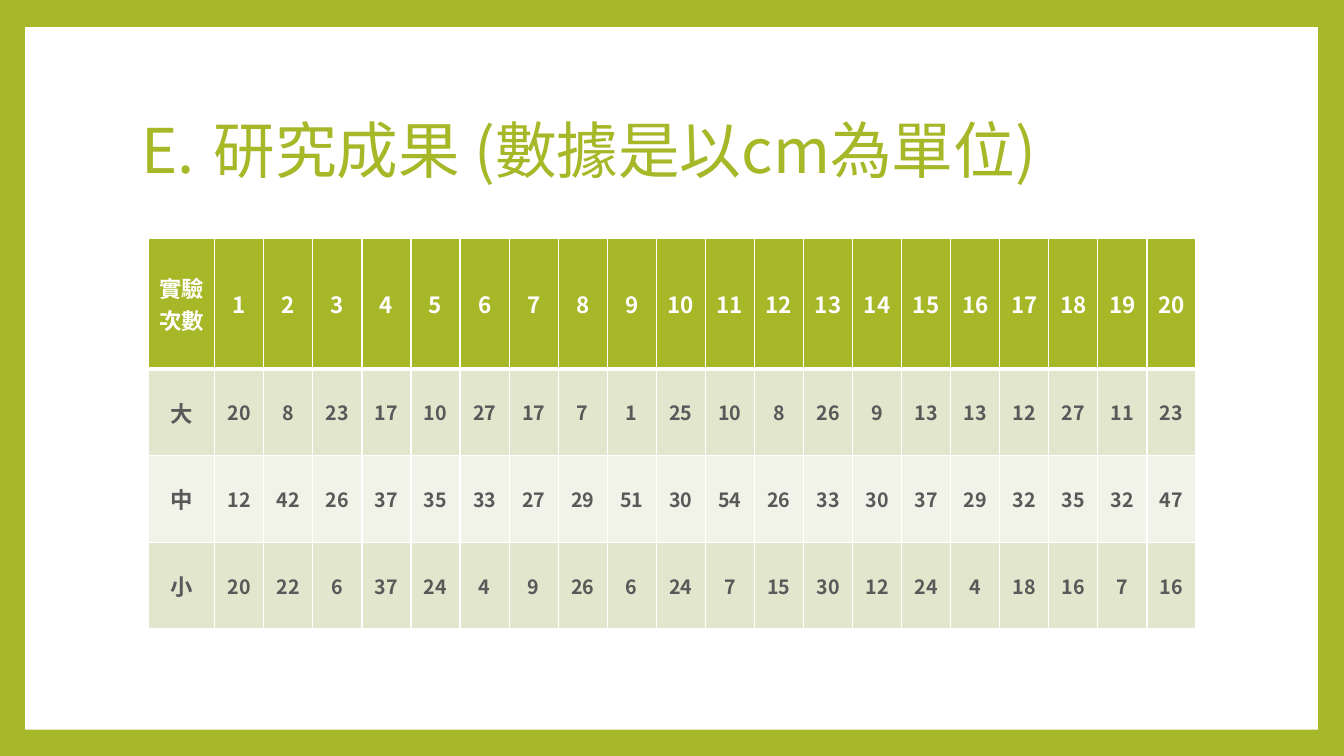
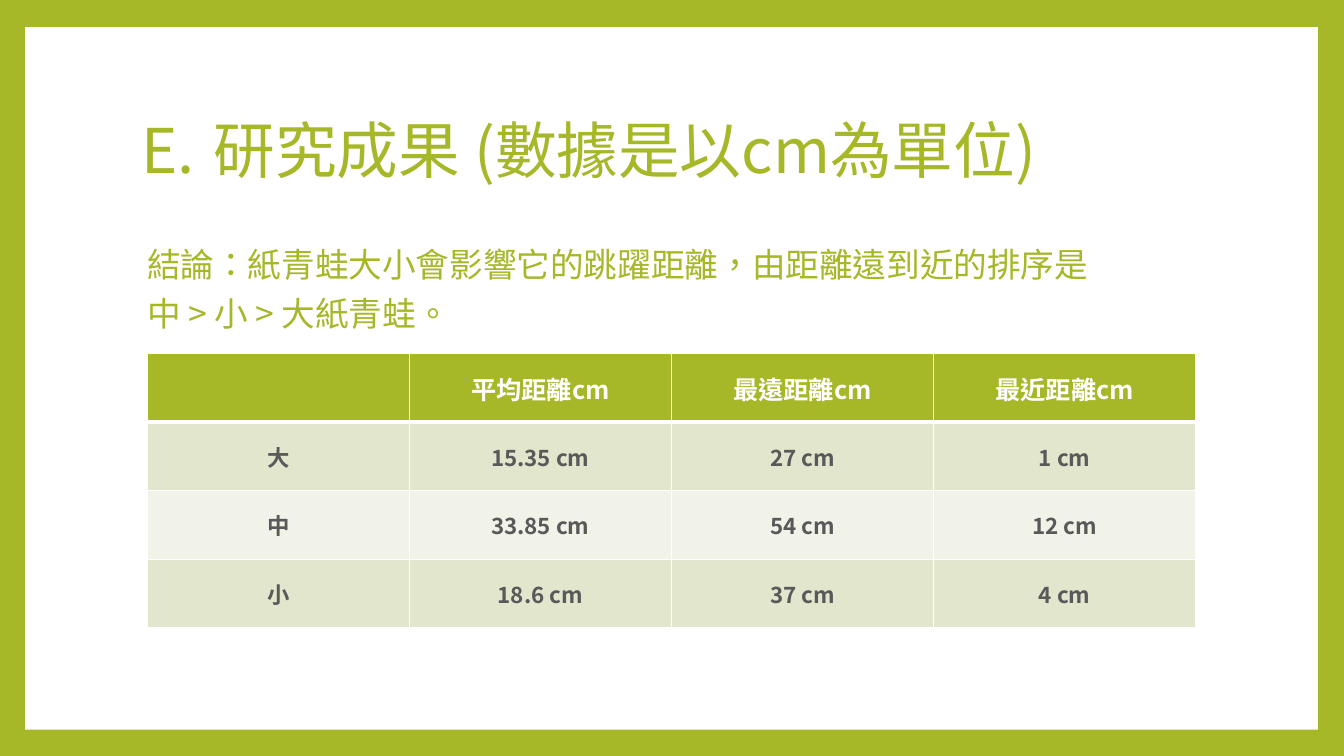
from dataclasses import dataclass

from lxml import etree
from pptx import Presentation
from pptx.dml.color import RGBColor
from pptx.enum.lang import MSO_LANGUAGE_ID
from pptx.enum.shapes import MSO_SHAPE
from pptx.enum.text import MSO_ANCHOR, MSO_AUTO_SIZE, PP_ALIGN
from pptx.oxml.ns import qn
from pptx.util import Inches, Pt

LEFT = PP_ALIGN.LEFT
CENTER = PP_ALIGN.CENTER
MIDDLE = MSO_ANCHOR.MIDDLE
NO_AUTOFIT = MSO_AUTO_SIZE.NONE
RECTANGLE = MSO_SHAPE.RECTANGLE
TAIWAN_CHINESE = MSO_LANGUAGE_ID.TRADITIONAL_CHINESE


@dataclass(frozen=True)
class Theme:
    font: str = "Noto Sans CJK SC"
    green: str = "A6B727"
    white: str = "FFFFFF"
    gray: str = "595959"
    dark_band: str = "E1E6CD"
    light_band: str = "F1F3E8"
    title_size: int = 44
    body_size: int = 24
    heading_size: int = 18
    label_size: int = 16
    number_size: int = 14
    rule: int = 1
    heading_rule: int = 3


theme = Theme()


def write(frame, text, size, color, bold=False, align=LEFT, spacing=None, tab=None):
    para = frame.paragraphs[0]
    para.alignment = align
    para.line_spacing = spacing
    if tab is not None:
        tabs = etree.SubElement(para._p.get_or_add_pPr(), qn("a:tabLst"))
        etree.SubElement(tabs, qn("a:tab"), pos=str(tab), algn="l")
    span = para.add_run()
    span.text = text
    span.font.name = theme.font
    span.font.size = Pt(size)
    span.font.bold = bold
    span.font.color.rgb = RGBColor.from_string(color)
    span.font.language_id = TAIWAN_CHINESE
    etree.SubElement(span._r.rPr, qn("a:ea"), typeface=theme.font)


def add_data_table(page, rows, left, top, widths, heights, heading_size, number_size):
    table = page.shapes.add_table(
        len(rows), len(widths), left, top, sum(widths), sum(heights)
    ).table
    for column, width in zip(table.columns, widths):
        column.width = width
    for row_index, values in enumerate(rows):
        table.rows[row_index].height = heights[row_index]
        heading = row_index == 0
        band = theme.dark_band if row_index % 2 else theme.light_band
        for column_index, value in enumerate(values):
            cell = table.cell(row_index, column_index)
            cell.vertical_anchor = MIDDLE
            for side in ("lnL", "lnR", "lnT", "lnB"):
                heavy = (row_index, side) in ((0, "lnB"), (1, "lnT"))
                weight = theme.heading_rule if heavy else theme.rule
                line = etree.SubElement(
                    cell._tc.get_or_add_tcPr(), qn(f"a:{side}"), w=str(Pt(weight))
                )
                fill = etree.SubElement(line, qn("a:solidFill"))
                etree.SubElement(fill, qn("a:srgbClr"), val=theme.white)
            cell.fill.solid()
            cell.fill.fore_color.rgb = RGBColor.from_string(theme.green if heading else band)
            if not value:
                continue
            body_size = number_size if column_index else theme.label_size
            write(
                cell.text_frame,
                str(value),
                size=heading_size if heading else body_size,
                color=theme.white if heading else theme.gray,
                bold=True,
                align=CENTER,
            )


deck = Presentation()
deck.slide_width = Inches(13.33)
deck.slide_height = Inches(7.5)
background = deck.slide_master.background.fill
background.solid()
background.fore_color.rgb = RGBColor.from_string(theme.green)

layout = deck.slide_layouts[5]
layout_title = layout.placeholders[0]
layout_title.left, layout_title.top = Inches(1.3), Inches(0.78)
layout_title.width, layout_title.height = Inches(10.53), Inches(1.48)
layout_title.text_frame.vertical_anchor = MIDDLE
layout_title.text_frame.auto_size = NO_AUTOFIT

pages = [deck.slides.add_slide(layout) for _ in range(2)]
results_page, summary_page = pages

panel = results_page.shapes.add_shape(
    RECTANGLE, Inches(0.25), Inches(0.27), Inches(12.82), Inches(6.97)
)
panel.shadow.inherit = False
panel.fill.solid()
panel.fill.fore_color.rgb = RGBColor.from_string(theme.white)
panel.line.fill.background()
layout.shapes.element.insert(2, panel.element)

for page in pages:
    write(
        page.shapes.title.text_frame,
        "E.\t研究成果 (數據是以cm為單位)",
        size=theme.title_size,
        color=theme.green,
        spacing=0.9,
        tab=Inches(0.72),
    )

jumps = [
    ["實驗次數", *range(1, 21)],
    ["大", 20, 8, 23, 17, 10, 27, 17, 7, 1, 25, 10, 8, 26, 9, 13, 13, 12, 27, 11, 23],
    ["中", 12, 42, 26, 37, 35, 33, 27, 29, 51, 30, 54, 26, 33, 30, 37, 29, 32, 35, 32, 47],
    ["小", 20, 22, 6, 37, 24, 4, 9, 26, 6, 24, 7, 15, 30, 12, 24, 4, 18, 16, 7, 16],
]
add_data_table(
    results_page,
    jumps,
    left=Inches(1.47),
    top=Inches(2.37),
    widths=[Inches(0.66)] + [Inches(9.74 / 20)] * 20,
    heights=[Inches(1.29)] + [Inches(0.86)] * 3,
    heading_size=theme.label_size,
    number_size=theme.number_size,
)

summary = [
    ["", "平均距離cm", "最遠距離cm", "最近距離cm"],
    ["大", "15.35 cm", "27 cm", "1 cm"],
    ["中", "33.85 cm", "54 cm", "12 cm"],
    ["小", "18.6 cm", "37 cm", "4 cm"],
]
add_data_table(
    summary_page,
    summary,
    left=Inches(1.46),
    top=Inches(3.51),
    widths=[Inches(2.6)] * 4,
    heights=[Inches(0.68)] * 4,
    heading_size=theme.heading_size,
    number_size=theme.label_size,
)

conclusion = summary_page.shapes.add_textbox(
    Inches(1.36), Inches(2.28), Inches(9.61), Inches(1.08)
)
conclusion.text_frame.word_wrap = True
write(
    conclusion.text_frame,
    "結論：紙青蛙大小會影響它的跳躍距離，由距離遠到近的排序是中 > 小 > 大紙青蛙。",
    size=theme.body_size,
    color=theme.green,
    spacing=Pt(35),
)

deck.save("out.pptx")
